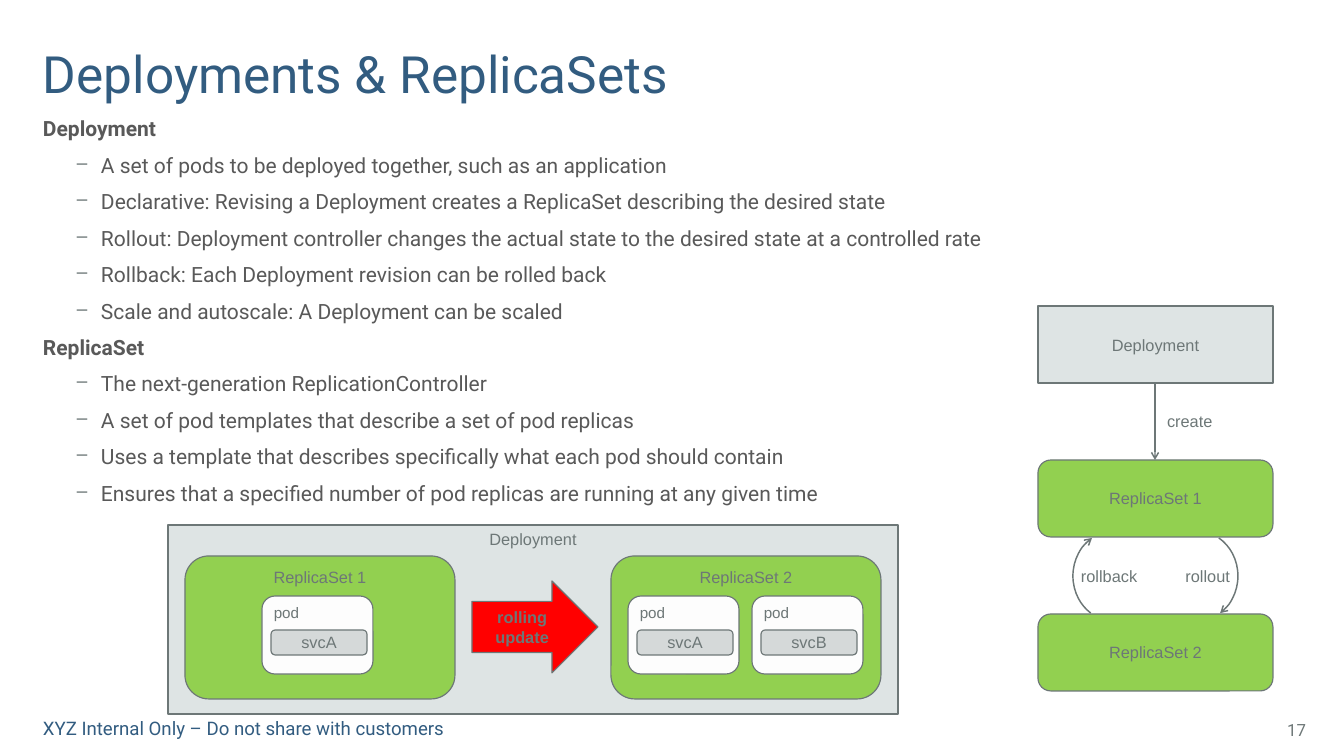
from lxml import etree
from pptx import Presentation
from pptx.dml.color import RGBColor
from pptx.enum.shapes import MSO_CONNECTOR, MSO_SHAPE
from pptx.enum.text import MSO_ANCHOR, PP_ALIGN
from pptx.oxml.ns import qn
from pptx.util import Pt

PX = 914400 / 84
SLIDE_W, SLIDE_H = 1344, 756
COLORS = {
    "title": "325C80", "body": "595959", "gray": "6D7777", "deployment": "DEE4E4",
    "replica": "92D050", "pod": "FDFDFD", "service": "D5D9D9", "update": "FF0000",
}
RECT, ROUNDED = MSO_SHAPE.RECTANGLE, MSO_SHAPE.ROUNDED_RECTANGLE
RIGHT_ARROW, ARC = MSO_SHAPE.RIGHT_ARROW, MSO_SHAPE.ARC
LEFT, CENTER, RIGHT = PP_ALIGN.LEFT, PP_ALIGN.CENTER, PP_ALIGN.RIGHT
TOP, MIDDLE, BOTTOM = MSO_ANCHOR.TOP, MSO_ANCHOR.MIDDLE, MSO_ANCHOR.BOTTOM

TOPICS = {
    "Deployment": [
        "A set of pods to be deployed together, such as an application",
        "Declarative: Revising a Deployment creates a ReplicaSet describing the desired state",
        "Rollout: Deployment controller changes the actual state to the desired state at a controlled rate",
        "Rollback: Each Deployment revision can be rolled back",
        "Scale and autoscale: A Deployment can be scaled",
    ],
    "ReplicaSet": [
        "The next-generation ReplicationController",
        "A set of pod templates that describe a set of pod replicas",
        "Uses a template that describes specifically what each pod should contain",
        "Ensures that a specified number of pod replicas are running at any given time",
    ],
}


def px(*lengths):
    return [round(length * PX) for length in lengths]


def color(name):
    return RGBColor.from_string(COLORS[name])


def style(paragraph, size, color_name, font="Arial", bold=False, align=LEFT):
    paragraph.alignment = align
    paragraph.font.name = font
    paragraph.font.size = Pt(size)
    paragraph.font.bold = bold
    paragraph.font.color.rgb = color(color_name)


def set_frame(frame, anchor=TOP, wrap=True, insets=(8, 4, 8, 4)):
    frame.word_wrap = wrap
    frame.vertical_anchor = anchor
    (frame.margin_left, frame.margin_top,
     frame.margin_right, frame.margin_bottom) = px(*insets)


def add_label(shapes, box, text, size=14, color_name="gray", font="Arial",
              align=LEFT, anchor=MIDDLE, insets=(8, 4, 8, 4)):
    frame = shapes.add_textbox(*px(*box)).text_frame
    set_frame(frame, anchor, insets=insets)
    frame.text = text
    style(frame.paragraphs[0], size, color_name, font, align=align)


def add_node(shapes, kind, box, fill, text, size=14, align=CENTER,
             anchor=MIDDLE, wrap=False, bold=False):
    node = shapes.add_shape(kind, *px(*box))
    node.shadow.inherit = False
    node.fill.solid()
    node.fill.fore_color.rgb = color(fill)
    node.line.color.rgb = color("gray")
    node.line.width = Pt(1)
    set_frame(node.text_frame, anchor, wrap)
    node.text_frame.text = text
    style(node.text_frame.paragraphs[0], size, "gray", bold=bold, align=align)
    return node


def style_arrow(line):
    line.color.rgb = color("gray")
    line.width = Pt(1.25)
    etree.SubElement(line._get_or_add_ln(), qn("a:tailEnd"), type="arrow")


def add_arc(shapes, box, start, end):
    """Draw an arrow clockwise between two angles in degrees."""
    arc = shapes.add_shape(ARC, *px(*box))
    arc.shadow.inherit = False
    arc.fill.background()
    for index, angle in enumerate((start, end)):
        arc.adjustments[index] = angle * 0.6
    style_arrow(arc.line)


def add_title(slide, box):
    title = slide.shapes.title
    title.left, title.top, title.width, title.height = px(*box)
    set_frame(title.text_frame, BOTTOM, insets=(0, 4, 8, 0))
    title.text_frame.text = "Deployments & ReplicaSets"
    heading = title.text_frame.paragraphs[0]
    style(heading, 44, "title", "Roboto")
    heading.line_spacing = 0.85


def add_dash(paragraph):
    properties = paragraph._p.get_or_add_pPr()
    indent, hanging = px(58, -24)
    properties.set("marL", str(indent))
    properties.set("indent", str(hanging))
    bullet_color = etree.SubElement(properties, qn("a:buClr"))
    etree.SubElement(bullet_color, qn("a:srgbClr"), val=COLORS["gray"])
    etree.SubElement(properties, qn("a:buSzPct"), val="90000")
    etree.SubElement(properties, qn("a:buChar"), char="–")


def add_topics(slide, box):
    frame = slide.shapes.add_textbox(*px(*box)).text_frame
    set_frame(frame, insets=(0, 4, 8, 4))
    lines = [(text, text == topic) for topic, points in TOPICS.items()
             for text in (topic, *points)]
    for index, (text, is_topic) in enumerate(lines):
        paragraph = frame.add_paragraph() if index else frame.paragraphs[0]
        paragraph.text = text
        paragraph.space_before = Pt(9.6)
        if not is_topic:
            paragraph.level = 1
            add_dash(paragraph)
        style(paragraph, 18, "body", "Roboto", bold=is_topic)


def add_replica_set(shapes, box, name, pods):
    """Draw a ReplicaSet; pods maps each service to its pod's left offset."""
    left, top, _, _ = box
    add_node(shapes, ROUNDED, box, "replica", name, anchor=TOP)
    for service, offset in pods.items():
        x, y = left + offset, top + 40
        add_node(shapes, ROUNDED, (x, y, 111, 78), "pod", "pod", 13, LEFT, TOP)
        add_node(shapes, ROUNDED, (x + 9, y + 34, 96, 25), "service", service)


def add_rolling_update(slide, box):
    left, top, width, _ = box
    shapes = slide.shapes.add_group_shape().shapes
    margin, replica_w, replica_h = 17, 270, 143
    add_node(shapes, RECT, box, "deployment", "Deployment", anchor=TOP)
    add_replica_set(shapes, (left + margin, top + 31, replica_w, replica_h),
                    "ReplicaSet 1", {"svcA": 77})
    add_replica_set(shapes, (left + width - margin - replica_w, top + 31, replica_w, replica_h),
                    "ReplicaSet 2", {"svcA": 17, "svcB": 141})
    update = add_node(shapes, RIGHT_ARROW, (left + 304, top + 56, 126, 92),
                      "update", "rolling update", wrap=True, bold=True)
    update.adjustments[0] = 0.556


def add_revision_cycle(slide, box):
    left, top, width, height = box
    shapes = slide.shapes.add_group_shape().shapes
    node_h = 77
    pitch = (height - node_h) // 2
    middle = left + width // 2
    nodes = [("Deployment", RECT, "deployment"),
             ("ReplicaSet 1", ROUNDED, "replica"),
             ("ReplicaSet 2", ROUNDED, "replica")]
    for row, (name, kind, fill) in enumerate(nodes):
        add_node(shapes, kind, (left, top + row * pitch, width, node_h), fill, name)

    arc_w, arc_h = 82, 90
    arc_top = top + pitch + node_h - 6
    for name, x, start, end, align in [("rollout", middle + 1, 300, 58, RIGHT),
                                       ("rollback", middle - arc_w, 122, 240, LEFT)]:
        arc_box = (x, arc_top, arc_w, arc_h)
        add_arc(shapes, arc_box, start, end)
        add_label(shapes, arc_box, name, align=align)

    create = shapes.add_connector(MSO_CONNECTOR.STRAIGHT,
                                  *px(middle, top + node_h, middle, top + pitch))
    style_arrow(create.line)
    etree.SubElement(create._element.spPr, qn("a:effectLst"))
    add_label(shapes, (middle + 4, top + 100, 103, 29), "create")


def add_footer(slide, box):
    left, top, width, height = box
    add_label(slide.shapes, (left, top + 7, 426, 23),
              "XYZ Internal Only – Do not share with customers",
              16, "title", "Roboto", anchor=TOP, insets=(0, 0, 0, 0))
    add_label(slide.shapes, (left + width - 59, top, 59, height), "17", 14.4,
              font="Roboto", align=RIGHT)


def main():
    presentation = Presentation()
    presentation.slide_width, presentation.slide_height = px(SLIDE_W, SLIDE_H)
    slide = presentation.slides.add_slide(presentation.slide_layouts[5])
    add_title(slide, (43, 7, 1200, 97))
    add_topics(slide, (43, 112, 995, 403))
    add_rolling_update(slide, (168, 525, 730, 189))
    add_revision_cycle(slide, (1038, 306, 235, 385))
    add_footer(slide, (43, 710, 1271, 40))
    presentation.save("out.pptx")


if __name__ == "__main__":
    main()
